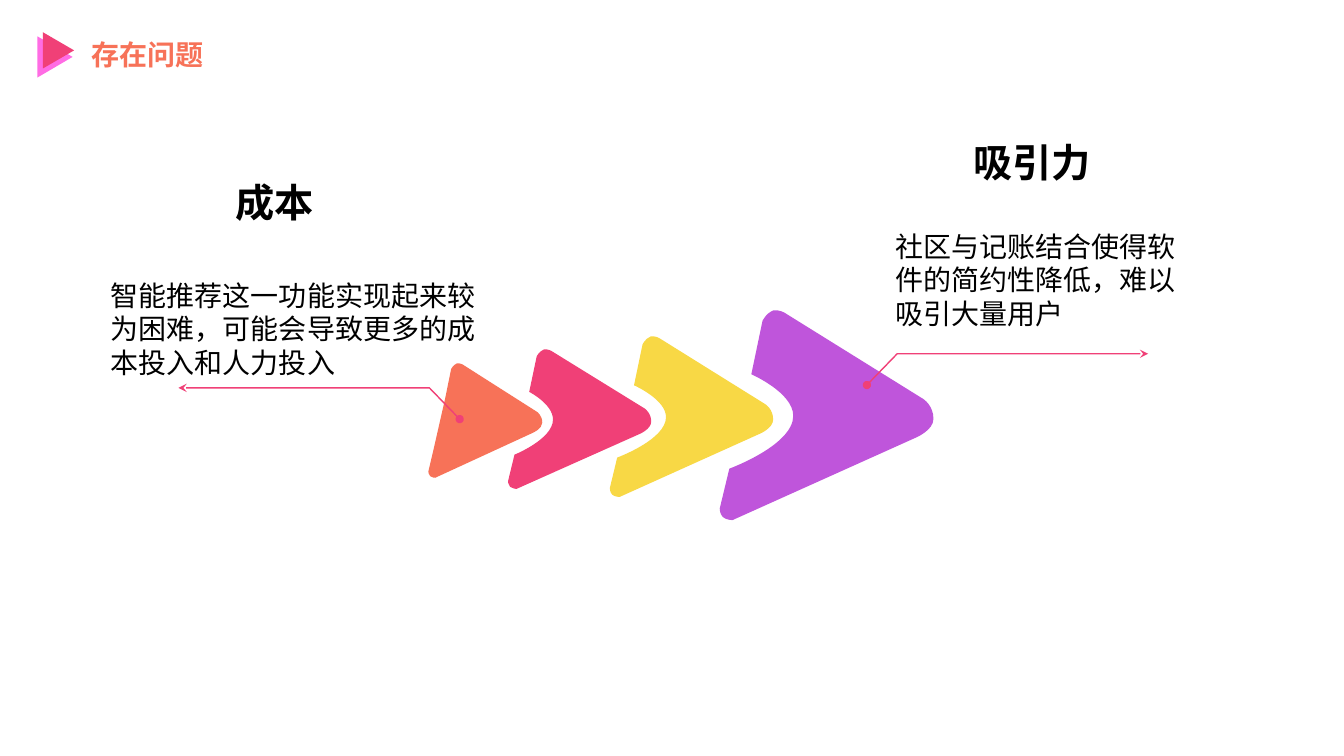
from pptx import Presentation
from pptx.dml.color import RGBColor
from pptx.enum.shapes import MSO_SHAPE
from pptx.enum.text import MSO_AUTO_SIZE, PP_ALIGN
from pptx.oxml.ns import qn
from pptx.util import Inches, Pt
from lxml import etree

TRIANGLE = MSO_SHAPE.ISOSCELES_TRIANGLE
LEFT, CENTER = PP_ALIGN.LEFT, PP_ALIGN.CENTER
FIT_SHAPE = MSO_AUTO_SIZE.SHAPE_TO_FIT_TEXT
BLACK = RGBColor(0x00, 0x00, 0x00)
PINK = RGBColor(0xFF, 0x6C, 0xE4)
CRIMSON = RGBColor(0xF0, 0x40, 0x77)
CORAL = RGBColor(0xF7, 0x72, 0x58)
YELLOW = RGBColor(0xF8, 0xD8, 0x45)
PURPLE = RGBColor(0xBF, 0x55, 0xDB)

CELL = Inches(0.1)
COLUMNS, ROWS = 133.33, 75

ARROWS = [
    ((71.4, 30.7, 21.2, 20.9), PURPLE, 34.4),
    ((60.5, 33.3, 16.2, 16), YELLOW, 34.4),
    ((50.4, 34.6, 14.2, 13.9), CRIMSON, 31.4),
    ((42.5, 36, 11.3, 11.4), CORAL, None),
]


def cells(*lengths):
    """Convert grid cells to slide lengths."""
    return [round(length * CELL) for length in lengths]


def paint(shape, colour):
    """Give a shape a plain fill without outline or shadow."""
    shape.shadow.inherit = False
    shape.fill.solid()
    shape.fill.fore_color.rgb = colour
    shape.line.fill.background()


def add_text(slide, box, text, size, colour=BLACK, font="Arial", bold=False, align=LEFT):
    """Place one wrapped paragraph in a box."""
    frame = slide.shapes.add_textbox(*cells(*box)).text_frame
    frame.word_wrap = True
    frame.auto_size = FIT_SHAPE
    paragraph = frame.paragraphs[0]
    paragraph.text = text
    paragraph.alignment = align
    paragraph.font.size = Pt(size)
    paragraph.font.name = font
    paragraph.font.bold = bold
    paragraph.font.color.rgb = colour


def add_header(slide, box, text):
    """Draw the double triangle mark and the slide title."""
    left, top, width, height = box
    mark = slide.shapes.add_group_shape()
    for x, y, side, depth, colour in [(0, 0.65, 4.1, 3.5, PINK), (0.6, 0.2, 3.6, 3.1, CRIMSON)]:
        triangle = mark.shapes.add_shape(TRIANGLE, *cells(left + x, top + y, side, depth))
        triangle.rotation = 90
        paint(triangle, colour)
    add_text(slide, (left + 4.7, top, width - 4.7, height), text, 20, CORAL, "Noto Sans CJK SC", True)


def arrow_steps(notch):
    """List the cubic steps of a rounded arrow in percent of its box, from tip to tip."""
    tip, lower, foot, heel = (100, 52), (91.5, 61), (6, 100), (1.5, 98.6)
    tail, bottom, top = (0, 94.5), (4.5, 75.6), (14.8, 30.8)
    shoulder, crown, brow, cheek = (20, 5.5), (25, 0.5), (30.5, 1.7), (95.2, 42.5)
    if notch:
        apex = (notch, 50.5)
        inner = [(bottom, (notch, 64.5), apex), ((notch, 39.5), top, top)]
    else:
        inner = [(top, top, top)]
    return [
        ((100, 57.5), lower, lower),
        (foot, foot, foot),
        (foot, (3, 100), heel),
        ((0, 97.2), tail, tail),
        (bottom, bottom, bottom),
        *inner,
        (shoulder, shoulder, shoulder),
        (shoulder, (21.5, 2), crown),
        ((28, 0), brow, brow),
        (cheek, cheek, cheek),
        (cheek, (100, 45.5), tip),
    ]


def add_path(slide, points, closed):
    """Build a freeform through points given in grid cells."""
    first, *others = [cells(*point) for point in points]
    builder = slide.shapes.build_freeform(*first)
    builder.add_line_segments(others, close=closed)
    return builder.convert_to_shape()


def add_arrow(slide, box, colour, notch):
    """Draw one rounded arrow filling its box."""
    left, top, width, height = box
    steps = [[(left + x * width / 100, top + y * height / 100) for x, y in step]
             for step in arrow_steps(notch)]
    arrow = add_path(slide, [steps[-1][-1]] + [step[-1] for step in steps], True)
    for segment, step in zip(list(arrow._element.iter(qn("a:lnTo"))), steps):
        segment.tag = qn("a:cubicBezTo")
        segment.remove(segment[0])
        for point in step:
            x, y = cells(*point)
            node = etree.SubElement(segment, qn("a:pt"))
            node.set("x", str(x - arrow.left))
            node.set("y", str(y - arrow.top))
    paint(arrow, colour)


def add_leader(slide, dot, direction):
    """Draw a bent line from a dot to an arrowhead at the given side."""
    x, y = dot
    points = [dot, (x + 3 * direction, y - 3.1), (x + 27.9 * direction, y - 3.1)]
    leader = add_path(slide, points, False)
    leader.shadow.inherit = False
    leader.fill.background()
    leader.line.color.rgb = CRIMSON
    leader.line.width = Pt(1)
    outline = leader.line._get_or_add_ln()
    for end, kind in (("a:headEnd", "oval"), ("a:tailEnd", "stealth")):
        etree.SubElement(outline, qn(end)).set("type", kind)


def add_callout(slide, box, heading, heading_box, text, dot, direction):
    """Place a heading and a description in a box, with a leader to an arrow."""
    left, top, width, height = box
    x, heading_width, gap = heading_box
    add_leader(slide, dot, direction)
    add_text(slide, (left, top + gap, width, height - gap), text, 20)
    add_text(slide, (left + x, top, heading_width, 5.7), heading, 28, bold=True, align=CENTER)


def main():
    """Build and save the slide."""
    presentation = Presentation()
    presentation.slide_width, presentation.slide_height = cells(COLUMNS, ROWS)
    slide = presentation.slides.add_slide(presentation.slide_layouts[6])
    add_header(slide, (3.4, 3.25, 26.9, 4.4), "存在问题")
    for box, colour, notch in ARROWS:
        add_arrow(slide, box, colour, notch)
    add_callout(slide, (10, 17.2, 39.9, 21), "成本", (12.1, 10.3, 9.9),
                "智能推荐这一功能实现起来较为困难，可能会导致更多的成本投入和人力投入", (45.6, 41.58), -1)
    add_callout(slide, (87.84, 13.26, 30, 20.04), "吸引力", (7, 15.1, 8.97),
                "社区与记账结合使得软件的简约性降低，难以吸引大量用户", (86, 38.2), 1)
    presentation.save("out.pptx")


if __name__ == "__main__":
    main()
